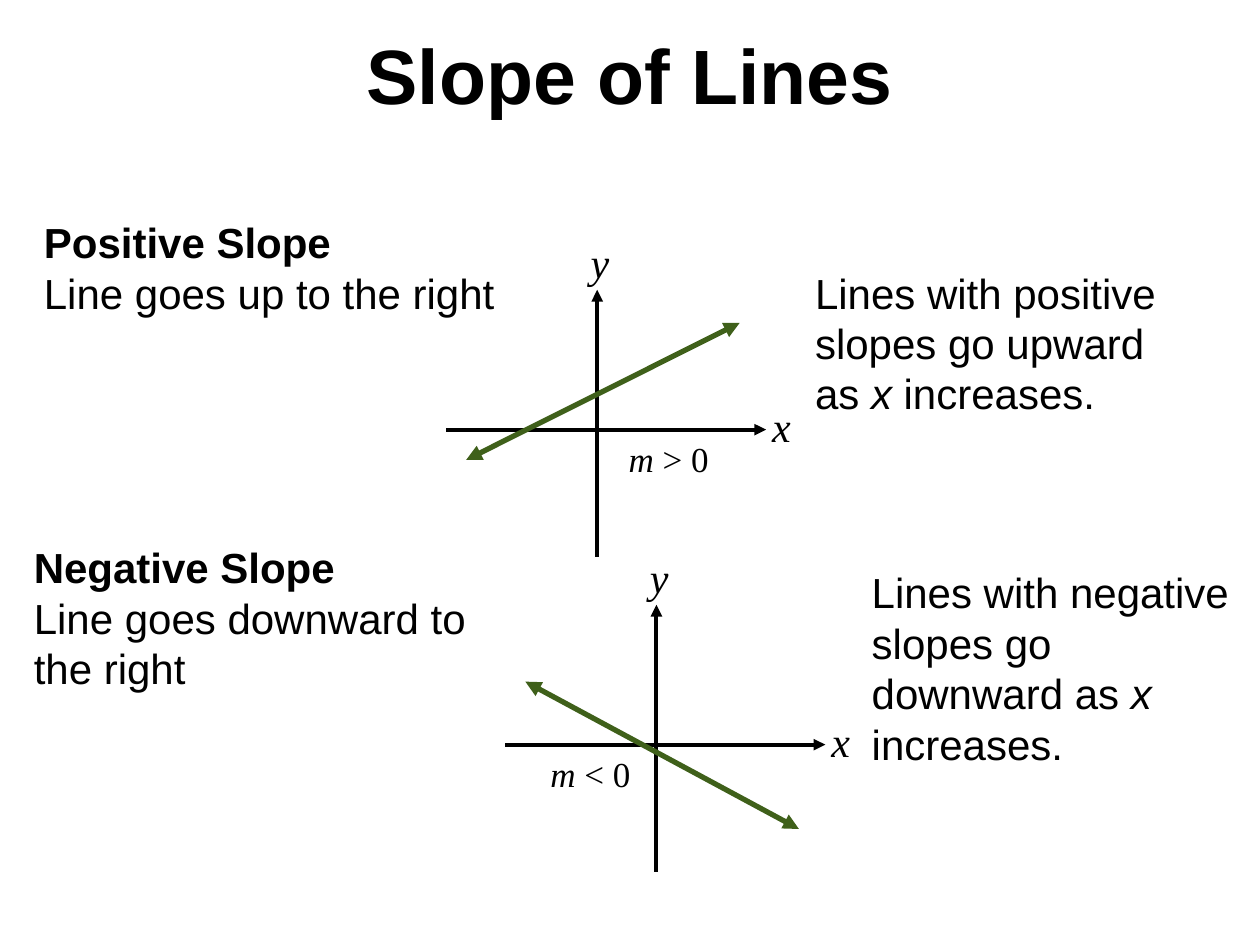
"""Build a slide contrasting lines of positive and negative slope."""
from dataclasses import dataclass

from lxml import etree
from pptx import Presentation
from pptx import util as u
from pptx.dml.color import RGBColor
from pptx.enum import shapes, text
from pptx.oxml.ns import qn


@dataclass(frozen=True)
class Theme:
    ink: RGBColor = RGBColor(0, 0, 0)
    slope: RGBColor = RGBColor(0x3F, 0x60, 0x1A)
    sans: str = "Arial"
    serif: str = "Times New Roman"
    title: float = 44
    body: float = 24
    label: float = 20
    axis_width: float = 2.25
    slope_width: float = 3


THEME = Theme()
TITLE = "Slope of Lines"

# Boxes are (left, top, width, height); line ends and label places are relative to the origin.
CASES = [
    {
        "heading": "Positive Slope",
        "summary": ["Line goes up to the right"],
        "summary_box": (18, 120.24, 274.32, 65.5),
        "rule": ("Lines with positive slopes go upward as ", "x", " increases."),
        "rule_box": (458.64, 149.04, 222.48, 94.3),
        "origin": (341.28, 245.52),
        "slope": ((-74.9, 17.3), (81.4, -61)),
        "sign": "> 0",
        "sign_at": (10.8, 0.7),
    },
    {
        "heading": "Negative Slope",
        "summary": ["Line goes downward to ", "the right"],
        "summary_box": (12.24, 306, 270.72, 94.3),
        "rule": ("Lines with negative slopes go downward as ", "x", " increases."),
        "rule_box": (491.04, 320.4, 222.48, 123.8),
        "origin": (375.12, 425.52),
        "slope": ((81.4, 48.2), (-74.9, -36)),
        "sign": "< 0",
        "sign_at": (-67.7, 0.7),
    },
]
AXES = [((0, 72.7), (0, -79.9)), ((-86.4, 0), (96.5, 0))]
AXIS_LABELS = [("x", (92.9, -20.2), 20.9), ("y", (-10.8, -113.8), 24.5)]


def add_span(para, words, size, font=THEME.sans, bold=False, italic=False):
    """Append one formatted run to a paragraph."""
    span = para.add_run()
    span.text = words
    span.font.name, span.font.size = font, u.Pt(size)
    span.font.bold, span.font.italic = bold, italic
    span.font.color.rgb = THEME.ink


def add_box(parent, place, wrap=True):
    """Add a text box and return its text frame."""
    frame = parent.add_textbox(*map(u.Pt, place)).text_frame
    frame.word_wrap = wrap
    frame.auto_size = text.MSO_AUTO_SIZE.SHAPE_TO_FIT_TEXT
    return frame


def shift(origin, offset):
    """Return a point moved from the origin by an offset."""
    return origin[0] + offset[0], origin[1] + offset[1]


def add_arrow(parent, origin, ends, color, width, arrowheads):
    """Draw a straight arrow between two points relative to the origin."""
    points = [u.Pt(value) for end in ends for value in shift(origin, end)]
    arrow = parent.add_connector(shapes.MSO_CONNECTOR.STRAIGHT, *points)
    arrow.line.color.rgb = color
    arrow.line.width = u.Pt(width)
    outline = arrow.line._get_or_add_ln()
    for head in arrowheads:
        etree.SubElement(outline, qn(f"a:{head}"), type="triangle")
    etree.SubElement(arrow._element.spPr, qn("a:effectLst"))


def add_graph(page, case):
    """Draw the labelled axes, the sloping line and its sign."""
    origin = case["origin"]
    axes = page.shapes.add_group_shape().shapes
    for name, offset, width in AXIS_LABELS:
        frame = add_box(axes, (*shift(origin, offset), width, 36))
        add_span(frame.paragraphs[0], name, THEME.body, THEME.serif, italic=True)
    for ends in AXES:
        add_arrow(axes, origin, ends, THEME.ink, THEME.axis_width, ["tailEnd"])
    add_arrow(page.shapes, origin, case["slope"], THEME.slope, THEME.slope_width,
              ["headEnd", "tailEnd"])
    para = add_box(page.shapes, (*shift(origin, case["sign_at"]), 84.24, 31.7)).paragraphs[0]
    add_span(para, "m ", THEME.label, THEME.serif, italic=True)
    add_span(para, case["sign"], THEME.label, THEME.serif)


def add_case(page, case):
    """Add the summary, the graph and the rule for one kind of slope."""
    frame = add_box(page.shapes, case["summary_box"], wrap=False)
    add_span(frame.paragraphs[0], case["heading"], THEME.body, bold=True)
    para = frame.add_paragraph()
    for index, line in enumerate(case["summary"]):
        if index:
            para.add_line_break()
        add_span(para, line, THEME.body)
    add_graph(page, case)
    para = add_box(page.shapes, case["rule_box"]).paragraphs[0]
    for words in case["rule"]:
        add_span(para, words, THEME.body, italic=words == "x")


def main():
    """Build and save the deck."""
    deck = Presentation()
    deck.slide_width, deck.slide_height = u.Pt(720), u.Pt(540)
    page = deck.slides.add_slide(deck.slide_layouts[6])
    frame = add_box(page.shapes, (0, 12, 720, 60))
    frame.auto_size = text.MSO_AUTO_SIZE.NONE
    frame.vertical_anchor = text.MSO_ANCHOR.MIDDLE
    para = frame.paragraphs[0]
    para.alignment = text.PP_ALIGN.CENTER
    add_span(para, TITLE, THEME.title, bold=True)
    for case in CASES:
        add_case(page, case)
    deck.save("out.pptx")


if __name__ == "__main__":
    main()
